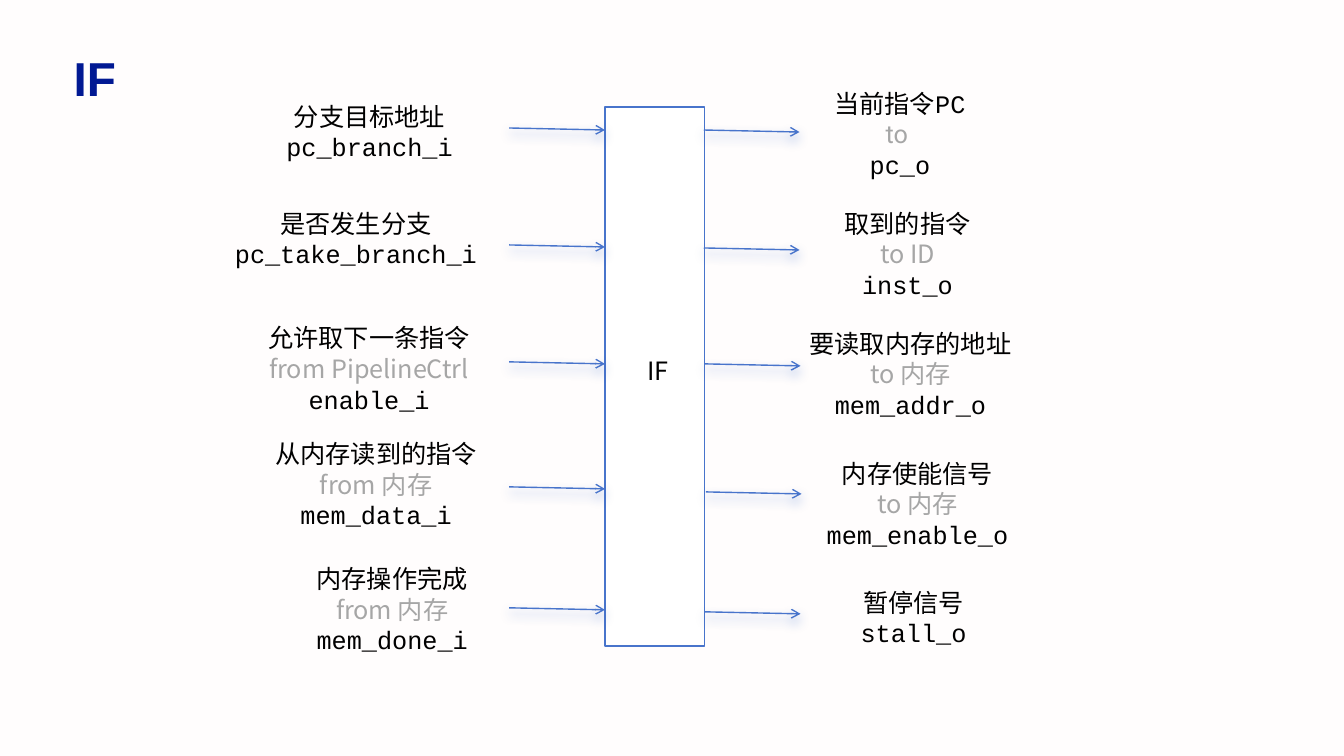
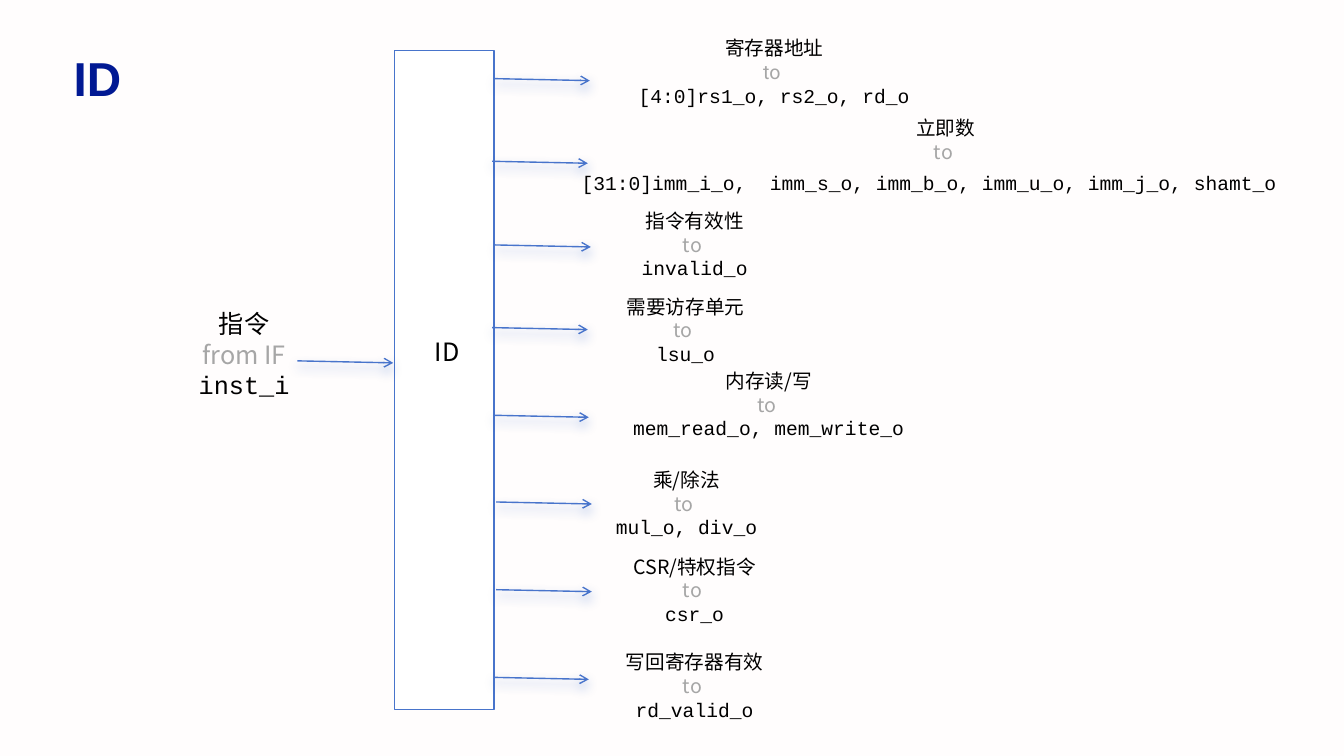
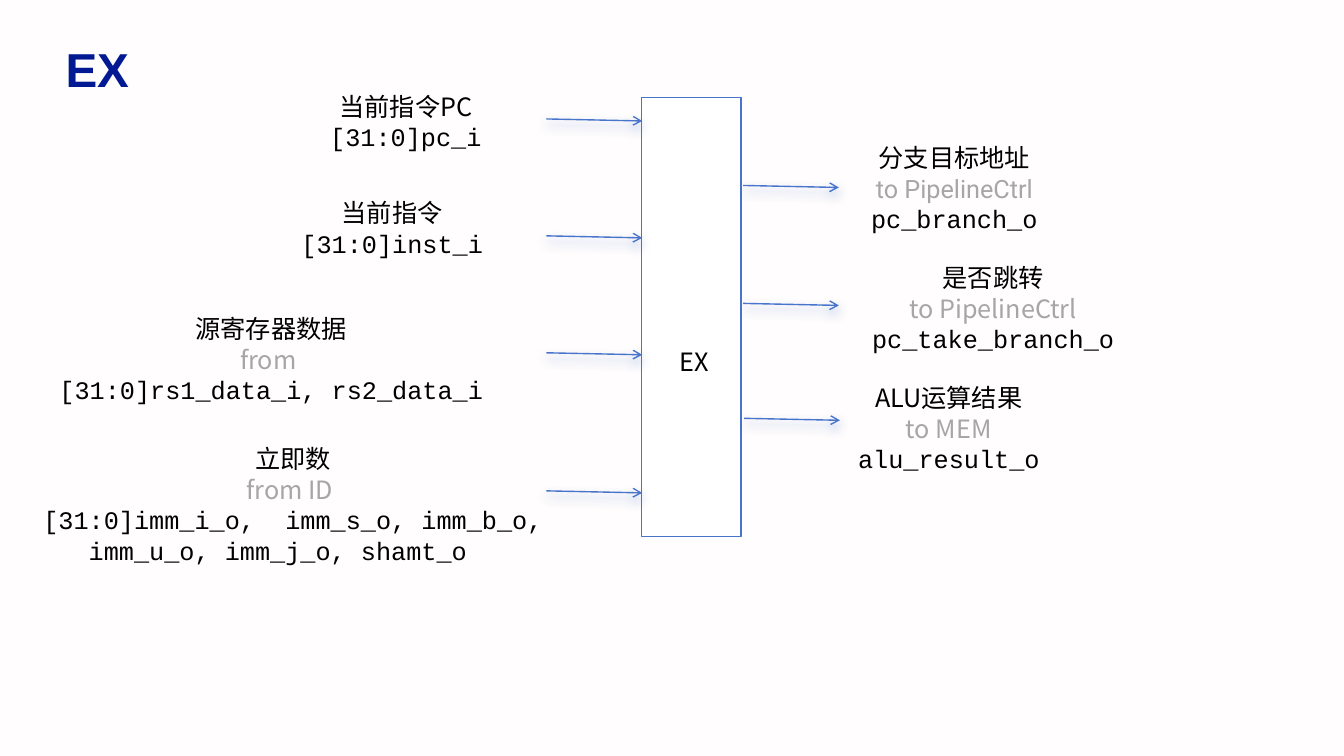
from lxml import etree
from pptx import Presentation
from pptx.dml.color import RGBColor
from pptx.enum.shapes import MSO_CONNECTOR, MSO_SHAPE
from pptx.enum.text import PP_ALIGN
from pptx.oxml import parse_xml
from pptx.oxml.ns import nsdecls, qn
from pptx.util import Pt

PX = 9144
BACKGROUND = RGBColor(0xFF, 0xFD, 0xFD)
NAVY = RGBColor(0x01, 0x19, 0x93)
BLUE = RGBColor(0x48, 0x74, 0xCB)
GRAY = RGBColor(0xA6, 0xA6, 0xA6)
BLACK = RGBColor(0, 0, 0)
WHITE = RGBColor(0xFF, 0xFF, 0xFF)
TITLE_FONT = "Arial"
BODY_FONT = "Noto Sans CJK JP"
CODE_FONT = "Courier New"
NOTE_FONT = "Roboto"
ROBOTO_SIGNALS = {"pc_o", "[4:0]rs1_o, rs2_o, rd_o", "pc_branch_o"}
ARROW_DX, ARROW_DY = 95, 2
LABEL_DY = 2
SHADOW = (
    f'<a:effectLst {nsdecls("a")}><a:outerShdw blurRad="101600" dist="50800" '
    'dir="5400000" algn="t" rotWithShape="0"><a:srgbClr val="4874CB">'
    '<a:alpha val="60000"/></a:srgbClr></a:outerShdw></a:effectLst>'
)

STAGES = [
    {
        "name": "IF", "title": (68, 44), "block": (600, 106, 99, 535),
        "block_label": (604, 350), "size": 18,
        "arrows": [
            (505, 127), (505, 243), (505, 359), (505, 483), (505, 603),
            (698, 129), (698, 246), (699, 361), (700, 488), (699, 607),
        ],
        "labels": [
            (276, 98, 181, ["分支目标地址", "pc_branch_i"]),
            (218, 204, 270, ["是否发生分支", "pc_take_branch_i"]),
            (227, 318, 278, ["允许取下一条指令", "from PipelineCtrl", "enable_i"]),
            (227, 433, 292, ["从内存读到的指令", "from 内存", "mem_data_i"]),
            (297, 557, 184, ["内存操作完成", "from 内存", "mem_done_i"]),
            (817, 85, 151, ["当前指令|PC", "to ", "pc_o"]),
            (798, 204, 204, ["取到的指令", "to ID", "inst_o"]),
            (801, 323, 204, ["要读取内存的地址", "to 内存", "mem_addr_o"]),
            (808, 452, 204, ["内存使能信号", "to 内存", "mem_enable_o"]),
            (804, 580, 204, ["暂停信号", "stall_o"]),
        ],
    },
    {
        "name": "ID", "title": (68, 44), "block": (391, 50, 99, 654),
        "block_label": (395, 331), "size": 14,
        "arrows": [
            (295, 358), (490, 78), (488, 160), (491, 243), (488, 325),
            (489, 412), (492, 498), (492, 585), (489, 672),
        ],
        "labels": [
            (166, 304, 152, ["指令", "from IF", "inst_i"], 18),
            (538, 34, 460, ["寄存器地址", "to ", "[4:0]rs1_o, rs2_o, rd_o"]),
            (543, 113, 790, ["立即数", "to "]),
            (527, 167, 790,
             ["[31:0]imm_i_o,  imm_s_o, imm_b_o, imm_u_o, imm_j_o, shamt_o"]),
            (587, 205, 204, ["指令有效性", "to ", "invalid_o"]),
            (578, 290, 204, ["需要访存单元", "to ", "lsu_o"]),
            (536, 364, 453, ["内存读/写", "to ", "mem_read_o, mem_write_o"]),
            (579, 462, 204, ["乘/除法", "to ", "mul_o, div_o"]),
            (587, 548, 204, ["CSR/特权指令", "to ", "csr_o"]),
            (587, 643, 204, ["写回寄存器有效", "to ", "rd_valid_o"]),
        ],
    },
    {
        "name": "EX", "title": (60, 35), "block": (636, 97, 99, 435),
        "block_label": (640, 341), "size": 18,
        "arrows": [
            (542, 118), (542, 234), (542, 350), (542, 487),
            (737, 184), (737, 301), (738, 415),
        ],
        "labels": [
            (312, 88, 181, ["当前指令PC", "[31:0]pc_i"]),
            (254, 194, 270, ["当前指令", "[31:0]inst_i"]),
            (7, 309, 524, ["源寄存器数据", "from ", "[31:0]rs1_data_i, rs2_data_i"]),
            (29, 438, 523,
             ["立即数", "from ID ", "[31:0]imm_i_o,  imm_s_o, imm_b_o,"]),
            (14, 529, 523, ["imm_u_o, imm_j_o, shamt_o"]),
            (856, 139, 181, ["分支目标地址", "to PipelineCtrl", "pc_branch_o"]),
            (836, 258, 298, ["是否跳转", "to PipelineCtrl", "pc_take_branch_o"]),
            (839, 377, 204, ["ALU运算结果", "to MEM", "alu_result_o"]),
        ],
    },
]


def add_text_box(s, x, y, w, h, inset):
    tf = s.shapes.add_textbox(x * PX, y * PX, w * PX, h * PX).text_frame
    tf.word_wrap = True
    tf.margin_left = tf.margin_right = tf.margin_top = tf.margin_bottom = inset * PX
    return tf


def add_run(p, text, font, size, color):
    r = p.add_run()
    r.text = text
    r.font.name = font
    r.font.size = Pt(size)
    r.font.color.rgb = color
    etree.SubElement(r.font._element, qn("a:ea"), typeface=BODY_FONT)
    return r


prs = Presentation()
prs.slide_width = 1333 * PX
prs.slide_height = 750 * PX

for stage in STAGES:
    s = prs.slides.add_slide(prs.slide_layouts[6])
    s.background.fill.solid()
    s.background.fill.fore_color.rgb = BACKGROUND

    tf = add_text_box(s, *stage["title"], 1252, 67, 5)
    r = add_run(tf.paragraphs[0], stage["name"], TITLE_FONT, 34, NAVY)
    r.font.bold = True

    sp = s.shapes.add_shape(MSO_SHAPE.RECTANGLE, *[v * PX for v in stage["block"]])
    sp.shadow.inherit = False
    sp.fill.solid()
    sp.fill.fore_color.rgb = WHITE
    sp.line.color.rgb = BLUE
    sp.line.width = Pt(1)

    for x, y in stage["arrows"]:
        arrow = s.shapes.add_connector(
            MSO_CONNECTOR.STRAIGHT, x * PX, y * PX,
            (x + ARROW_DX) * PX, (y + ARROW_DY) * PX)
        arrow.line.color.rgb = BLUE
        arrow.line.width = Pt(1)
        etree.SubElement(arrow.line._get_or_add_ln(), qn("a:tailEnd"), type="arrow")
        arrow._element.spPr.append(parse_xml(SHADOW))

    block_label = (*stage["block_label"], 97, ["|".join(["", stage["name"]])], 18)
    for x, y, w, lines, *own_size in stage["labels"] + [block_label]:
        size = own_size[0] if own_size else stage["size"]
        is_block_label = lines == block_label[3]
        tf = add_text_box(s, x, y + LABEL_DY, w, len(lines) * size * 5 // 3, 0)
        for i, line in enumerate(lines):
            p = tf.paragraphs[0] if i == 0 else tf.add_paragraph()
            p.alignment = PP_ALIGN.CENTER
            p.line_spacing = Pt(round(size * 1.21, 1))
            if line.startswith(("to ", "from ")):
                font = NOTE_FONT if lines[-1] in ROBOTO_SIGNALS else BODY_FONT
                add_run(p, line, font, size, GRAY)
                continue
            text, _, code = line.partition("|")
            if is_block_label:
                add_run(p, code, BODY_FONT, size, BLACK)
                continue
            add_run(p, text, CODE_FONT if text.isascii() else BODY_FONT, size, BLACK)
            if code:
                add_run(p, code, CODE_FONT, size, BLACK)

prs.save("out.pptx")
